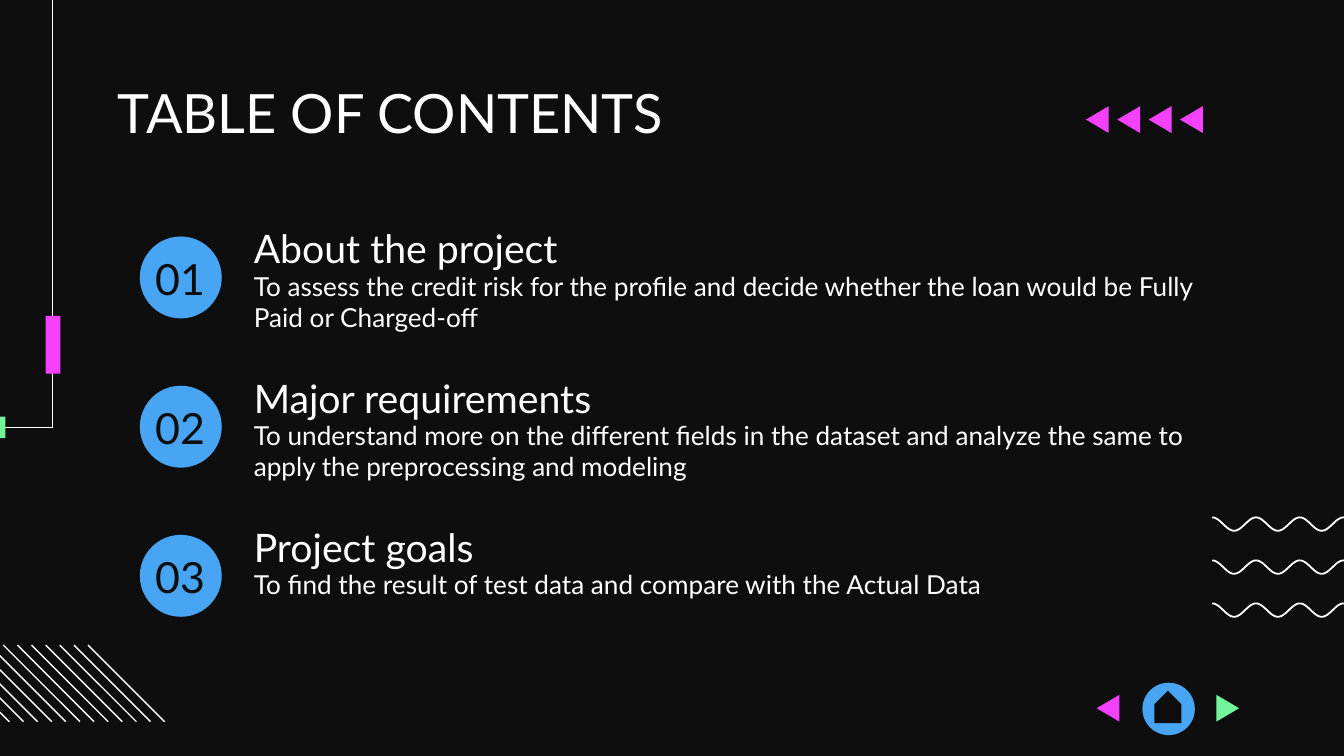
"""Build a dark table of contents slide with numbered sections and neon ornaments."""
import math

from lxml import etree
from pptx import Presentation
from pptx import util as u
from pptx.dml.color import RGBColor
from pptx.enum import shapes, text
from pptx.oxml import ns
from pptx.util import Inches

BLACK = RGBColor(0x0E, 0x0E, 0x0E)
WHITE = RGBColor(0xFF, 0xFF, 0xFF)
BLUE = RGBColor(0x47, 0xA5, 0xF3)
PINK = RGBColor(0xF3, 0x41, 0xFF)
GREEN = RGBColor(0x72, 0xF4, 0x9A)

FONT = "Lato"
ROW_PITCH = 1.11
SECTIONS = [
    ("About the project",
     "To assess the credit risk for the profile and decide whether the loan "
     "would be Fully Paid or Charged-off", 7.26, 0.61),
    ("Major requirements",
     "To understand more on the different fields in the dataset and analyze "
     "the same to apply the preprocessing and modeling", 7.26, 0.72),
    ("Project goals",
     "To find the result of test data and compare with the Actual Data", 7.43, 0.72),
]


def add_text(page, words, left, top, width, height, size, color=WHITE, inset_top=0):
    box = page.shapes.add_textbox(Inches(left), Inches(top), Inches(width), Inches(height))
    frame = box.text_frame
    frame.word_wrap = True
    frame.vertical_anchor = text.MSO_ANCHOR.TOP
    frame.margin_left = frame.margin_right = frame.margin_bottom = Inches(0.1)
    frame.margin_top = Inches(inset_top)
    para = frame.paragraphs[0]
    para.text = words
    para.font.name = FONT
    para.font.size = u.Pt(size)
    para.font.color.rgb = color
    return para


def paint(shape, color):
    shape.shadow.inherit = False
    shape.fill.solid()
    shape.fill.fore_color.rgb = color
    shape.line.fill.background()


def add_solid(page, kind, left, top, width, height, color):
    shape = page.shapes.add_shape(
        kind, Inches(left), Inches(top), Inches(width), Inches(height))
    paint(shape, color)
    return shape


def add_path(page, points, closed=False):
    corners = [(Inches(x), Inches(y)) for x, y in points]
    builder = page.shapes.build_freeform(*corners[0])
    builder.add_line_segments(corners[1:], close=closed)
    return builder.convert_to_shape()


def add_outline(page, points, weight):
    shape = add_path(page, points)
    shape.shadow.inherit = False
    shape.fill.background()
    shape.line.color.rgb = WHITE
    shape.line.width = u.Pt(weight)


def add_triangle(page, left, top, color, points_left=True):
    width, height = 0.17, 0.2
    base, tip = (left + width, left) if points_left else (left, left + width)
    corners = [(base, top), (tip, top + height / 2), (base, top + height)]
    paint(add_path(page, corners, closed=True), color)


def add_stripe(page, left, top, side):
    stripe = page.shapes.add_connector(
        shapes.MSO_CONNECTOR.STRAIGHT,
        Inches(left), Inches(top), Inches(left + side), Inches(top + side))
    stripe.line.color.rgb = WHITE
    stripe.line.width = u.Pt(0.75)
    etree.SubElement(stripe._element.spPr, ns.qn("a:effectLst"))


def add_wave(page, left, top):
    width, height, half_waves, steps = 1.14, 0.1, 7, 84
    points = [
        (left + width * i / steps,
         top + height / 2 * (1 - math.cos(math.pi * half_waves * i / steps)))
        for i in range(steps + 1)]
    add_outline(page, points, 0.95)


def add_ornaments(page):
    for row in range(3):
        add_wave(page, 9.02, 3.85 + 0.32 * row)
    for column in range(12):
        add_stripe(page, -0.5 + 1.05 * column / 10, 4.8, 0.57)
    add_outline(page, [(-3.93, 3.18), (0.39, 3.18), (0.39, -0.22)], 0.75)
    rectangle = shapes.MSO_SHAPE.RECTANGLE
    add_solid(page, rectangle, -0.12, 3.1, 0.16, 0.16, GREEN)
    add_solid(page, rectangle, 0.34, 2.35, 0.11, 0.43, PINK)
    for column in range(4):
        add_triangle(page, 8.08 + 0.7 / 3 * column, 0.79, PINK)


def add_section(page, index, heading, body, width, height):
    top = 1.62 + ROW_PITCH * index
    add_solid(page, shapes.MSO_SHAPE.OVAL, 1.04, top + 0.14, 0.61, 0.61, BLUE)
    number = add_text(page, f"{index + 1:02}", 0.89, top + 0.06, 0.9, 0.61, 23, BLACK, 0.2)
    number.alignment = text.PP_ALIGN.CENTER
    title = add_text(page, heading, 1.79, top, 3.16, 0.39, 21)
    title.line_spacing = 1.15
    title.space_after = u.Pt(12)
    add_text(page, body, 1.79, top + 0.39, width, height, 14)


def add_navigation(page):
    add_solid(page, shapes.MSO_SHAPE.OVAL, 8.5, 5.08, 0.39, 0.39, BLUE)
    home = add_solid(page, shapes.MSO_SHAPE.PENTAGON, 8.57, 5.16, 0.24, 0.2, BLACK)
    home.rotation = 270
    add_triangle(page, 8.16, 5.17, PINK)
    add_triangle(page, 9.05, 5.17, GREEN, points_left=False)


def main():
    deck = Presentation()
    deck.slide_width = Inches(10)
    deck.slide_height = deck.slide_width * 9 // 16
    page = deck.slides.add_slide(deck.slide_layouts[6])
    page.background.fill.solid()
    page.background.fill.fore_color.rgb = BLACK
    add_ornaments(page)
    add_text(page, "TABLE OF CONTENTS", 0.78, 0.59, 8.44, 0.46, 29)
    for index, section in enumerate(SECTIONS):
        add_section(page, index, *section)
    add_navigation(page)
    deck.save("out.pptx")


if __name__ == "__main__":
    main()
